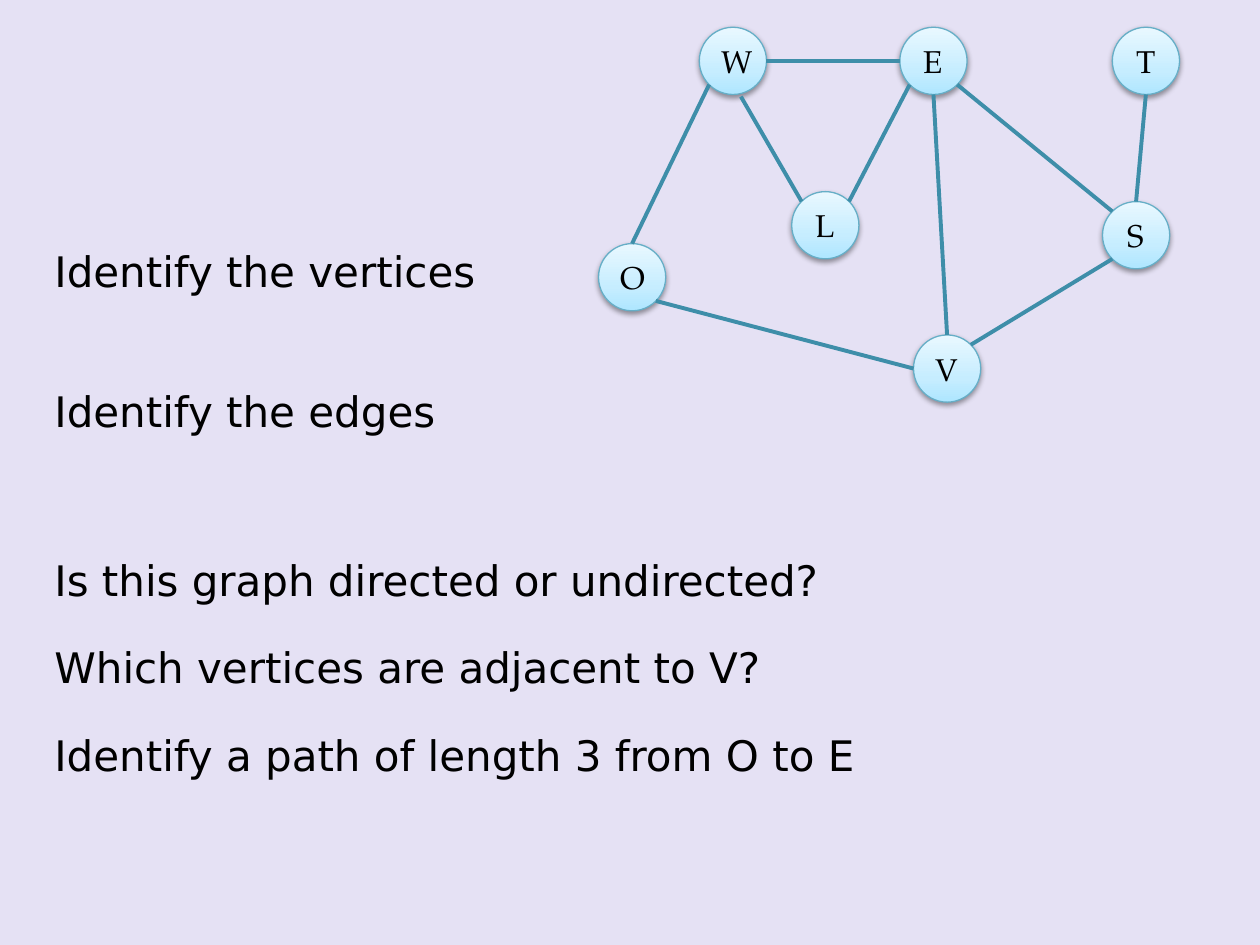
import math
from dataclasses import dataclass

from lxml import etree
from pptx import Presentation
from pptx.dml.color import RGBColor
from pptx.enum.shapes import MSO_CONNECTOR, MSO_SHAPE
from pptx.enum.text import MSO_ANCHOR, MSO_AUTO_SIZE, PP_ALIGN
from pptx.oxml.ns import qn
from pptx.util import Pt

OVAL = MSO_SHAPE.OVAL
STRAIGHT = MSO_CONNECTOR.STRAIGHT
MIDDLE = MSO_ANCHOR.MIDDLE
CENTER = PP_ALIGN.CENTER
GROW = MSO_AUTO_SIZE.SHAPE_TO_FIT_TEXT


@dataclass(frozen=True)
class Theme:
    background: str = "E5E1F4"
    ink: str = "000000"
    vertex_line: str = "66AEC7"
    edge: str = "3E8EA9"
    vertex_stops: tuple = ((0, "AEE6FF"), (35, "C6EDFF"), (100, "E9F8FF"))
    vertex_font: str = "TeX Gyre Pagella"
    vertex_size: int = 18
    question_font: str = "DejaVu Sans"
    question_size: int = 24


theme = Theme()


def add_color(parent, value):
    return etree.SubElement(parent, qn("a:srgbClr"), val=value)


def style_font(paragraph, name, size):
    font = paragraph.runs[0].font
    font.name = name
    font.size = Pt(size)
    font.color.rgb = RGBColor.from_string(theme.ink)


prs = Presentation()
prs.slide_width, prs.slide_height = Pt(720), Pt(540)
slide = prs.slides.add_slide(prs.slide_layouts[6])
slide.background.fill.solid()
slide.background.fill.fore_color.rgb = RGBColor.from_string(theme.background)

DIAMETER = 38.4
RADIUS = DIAMETER / 2
vertex_corners = {
    "W": (399.6, 15.6),
    "E": (514.2, 15.6),
    "S": (630, 115.2),
    "V": (522, 191.4),
    "L": (452.4, 109.5),
    "O": (342, 139.2),
    "T": (635.6, 15.6),
}
graph = slide.shapes.add_group_shape()
vertices = {}
for letter, (left, top) in vertex_corners.items():
    vertex = graph.shapes.add_shape(OVAL, Pt(left), Pt(top), Pt(DIAMETER), Pt(DIAMETER))
    vertices[letter] = vertex
    vertex.fill.gradient()
    vertex.fill.gradient_angle = 90
    stops = vertex._element.spPr.find(".//" + qn("a:gsLst"))
    stops.clear()
    for position, color in theme.vertex_stops:
        stop = etree.SubElement(stops, qn("a:gs"), pos=str(position * 1000))
        add_color(stop, color)
    vertex.line.color.rgb = RGBColor.from_string(theme.vertex_line)
    vertex.line.width = Pt(0.75)
    vertex.shadow.inherit = False
    shadow = etree.SubElement(
        vertex._element.spPr.find(qn("a:effectLst")), qn("a:outerShdw"),
        blurRad=str(Pt(3.1)), dist=str(Pt(1.6)), dir="5400000", rotWithShape="0")
    etree.SubElement(add_color(shadow, theme.ink), qn("a:alpha"), val="38000")
    vertex.text_frame.text = letter
    vertex.text_frame.vertical_anchor = MIDDLE
    label = vertex.text_frame.paragraphs[0]
    label.alignment = CENTER
    style_font(label, theme.vertex_font, theme.vertex_size)

TOP, LEFT, LOWER_LEFT, BOTTOM, LOWER_RIGHT, RIGHT, UPPER_RIGHT = 0, 2, 3, 4, 5, 6, 7
UPPER_LEFT = 1
edges = [
    ("V", TOP, "E", BOTTOM),
    ("W", RIGHT, "E", LEFT),
    ("S", UPPER_LEFT, "E", LOWER_RIGHT),
    ("S", LOWER_LEFT, "V", UPPER_RIGHT),
    ("W", LOWER_LEFT, "O", TOP),
    ("W", None, "L", UPPER_LEFT),
    ("L", UPPER_RIGHT, "E", LOWER_LEFT),
    ("T", BOTTOM, "S", TOP),
    ("O", LOWER_RIGHT, "V", LEFT),
]
for start, start_site, end, end_site in edges:
    points = []
    for letter, site in ((start, start_site), (end, end_site)):
        left, top = vertex_corners[letter]
        if site is None:
            points += [Pt(left + 23.8), Pt(top + 39.6)]
        else:
            angle = math.radians(45 * site)
            points += [Pt(left + RADIUS - RADIUS * math.sin(angle)),
                       Pt(top + RADIUS - RADIUS * math.cos(angle))]
    edge = graph.shapes.add_connector(STRAIGHT, *points)
    edge.line.color.rgb = RGBColor.from_string(theme.edge)
    edge.line.width = Pt(2.25)
    etree.SubElement(edge._element.spPr, qn("a:effectLst"))
    joints = edge._element.find(".//" + qn("p:cNvCxnSpPr"))
    for tag, letter, site in (("a:stCxn", start, start_site), ("a:endCxn", end, end_site)):
        if site is not None:
            etree.SubElement(joints, qn(tag), id=str(vertices[letter].shape_id), idx=str(site))

questions = [
    ("Identify the vertices", 136.8, 300),
    ("Identify the edges", 216.7, 300),
    ("Is this graph directed or undirected?", 313.2, 470),
    ("Which vertices are adjacent to V?", 362.9, 470),
    ("Identify a path of length 3 from O to E", 413.3, 510),
]
for wording, top, width in questions:
    question = slide.shapes.add_textbox(Pt(24), Pt(top), Pt(width), Pt(36)).text_frame
    question.word_wrap = True
    question.auto_size = GROW
    question.text = wording
    style_font(question.paragraphs[0], theme.question_font, theme.question_size)

prs.save("out.pptx")
